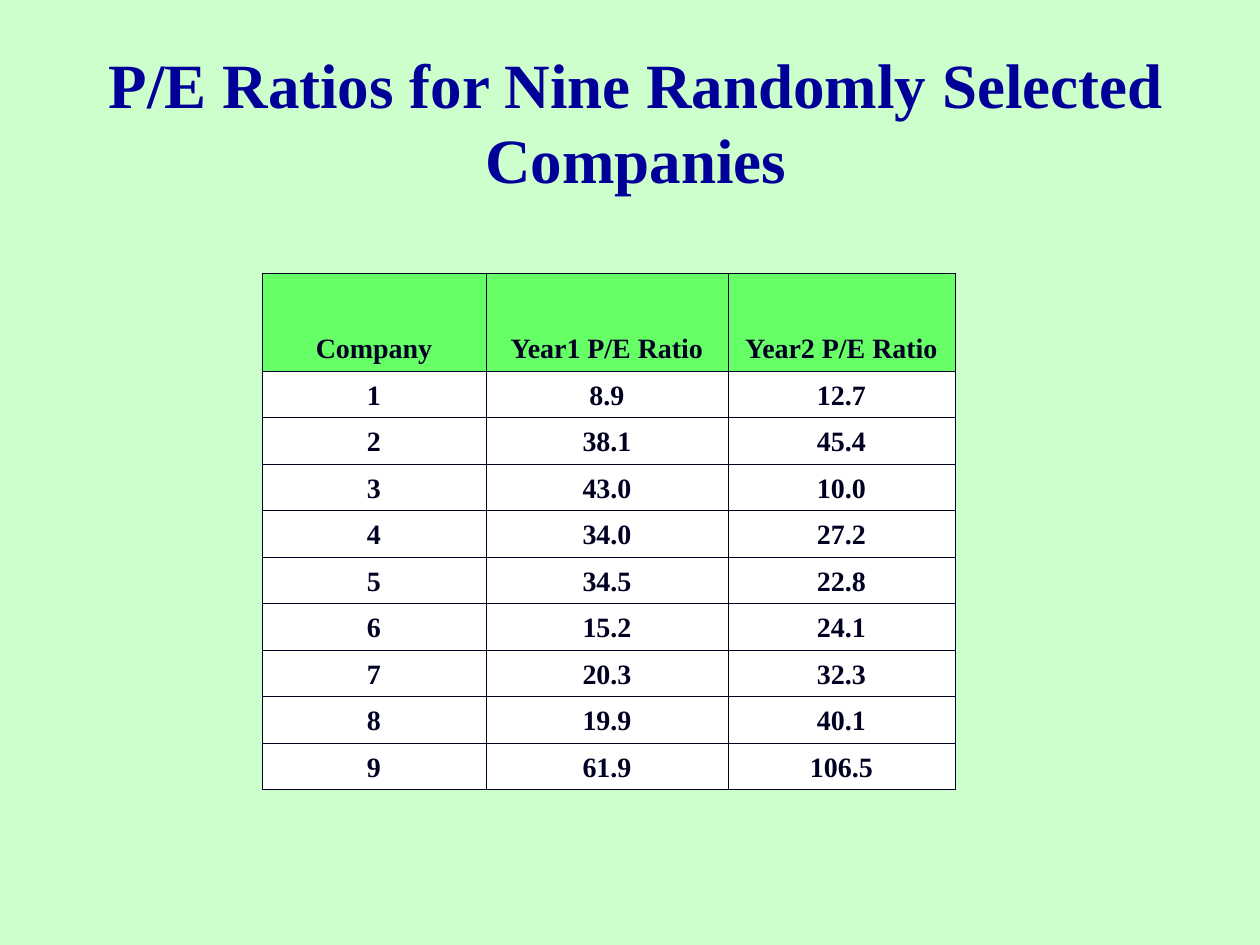
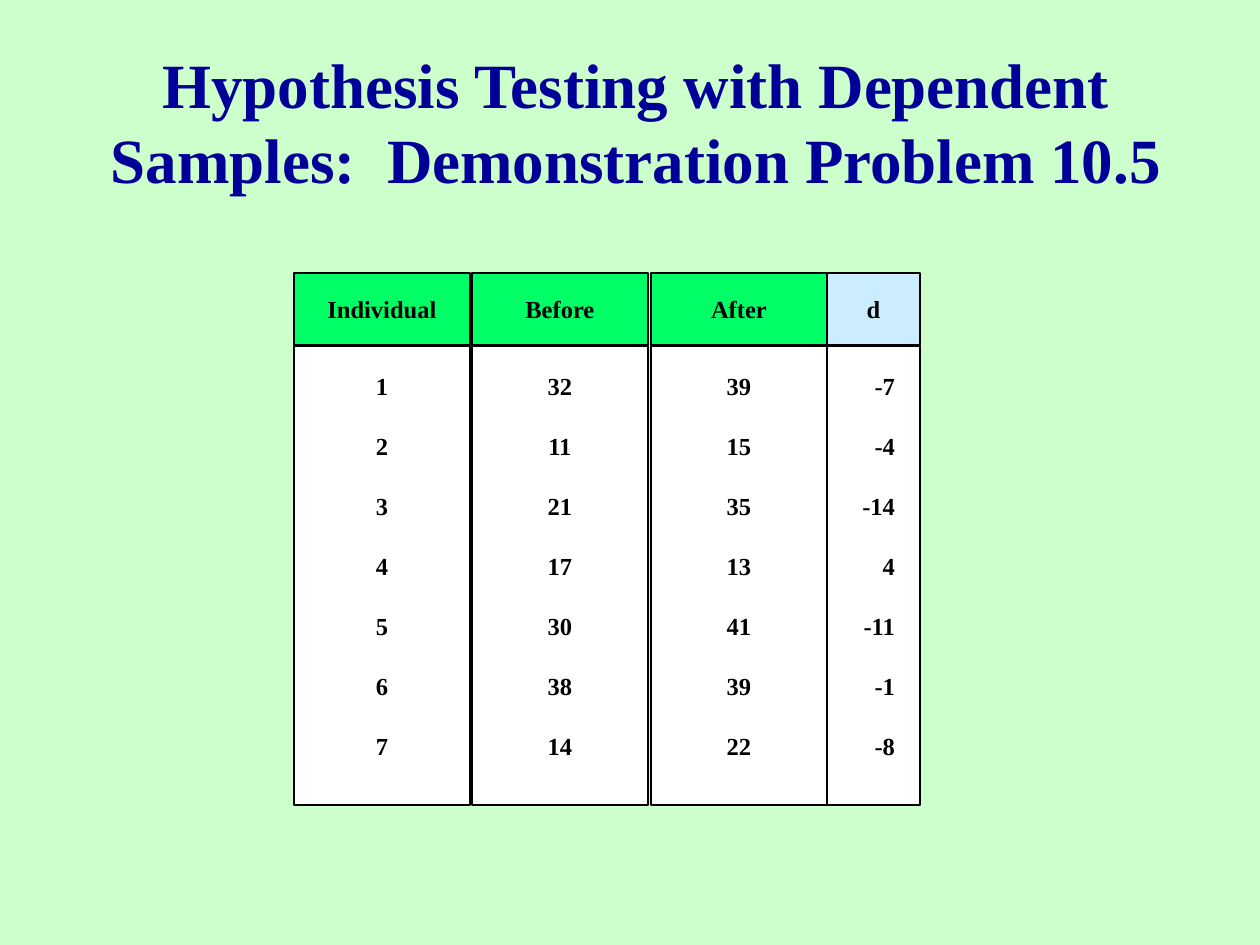
from lxml import etree
from pptx import Presentation
from pptx.dml.color import RGBColor
from pptx.enum.shapes import MSO_SHAPE
from pptx.enum.text import MSO_ANCHOR as Anchor, MSO_AUTO_SIZE as AutoSize, PP_ALIGN as Align
from pptx.oxml.ns import qn
from pptx.util import Pt

PX = 914400 // 126
FONT = "Times New Roman"
BACKGROUND, TITLE_BLUE, WHITE = "CCFFCC", "000099", "FFFFFF"
INK, BLACK = "000022", "000000"
TABLE_GREEN, HEADER_GREEN, HEADER_BLUE = "66FF66", "00FF66", "CCECFF"


def rgb(hex_color):
    return RGBColor.from_string(hex_color)


def write(text_frame, lines, size, color, align=Align.CENTER, space_before=0):
    """Fill a frame with one bold paragraph per line."""
    for number, line in enumerate(lines):
        paragraph = text_frame.add_paragraph() if number else text_frame.paragraphs[0]
        paragraph.alignment = align
        if number:
            paragraph.space_before = Pt(space_before)
        run = paragraph.add_run()
        run.text = line
        run.font.name = FONT
        run.font.size = Pt(size)
        run.font.bold = True
        run.font.color.rgb = rgb(color)


presentation = Presentation()
presentation.slide_width = 1260 * PX
presentation.slide_height = 945 * PX
background = presentation.slide_master.background.fill
background.solid()
background.fore_color.rgb = rgb(BACKGROUND)

slides = []
for heading in (
    "P/E Ratios for Nine Randomly Selected Companies",
    "Hypothesis Testing with Dependent Samples:  Demonstration Problem 10.5",
):
    slide = presentation.slides.add_slide(presentation.slide_layouts[5])
    title = slide.shapes.title
    title.left, title.top, title.width, title.height = 53 * PX, 42 * PX, 1166 * PX, 158 * PX
    title.text_frame.word_wrap = True
    title.text_frame.auto_size = AutoSize.NONE
    title.text_frame.vertical_anchor = Anchor.MIDDLE
    write(title.text_frame, [heading], 36, TITLE_BLUE)
    slides.append(slide)
ratio_slide, sample_slide = slides

# P/E ratio table
ratios = [
    ("Company", "Year1 P/E Ratio", "Year2 P/E Ratio"),
    ("1", "8.9", "12.7"),
    ("2", "38.1", "45.4"),
    ("3", "43.0", "10.0"),
    ("4", "34.0", "27.2"),
    ("5", "34.5", "22.8"),
    ("6", "15.2", "24.1"),
    ("7", "20.3", "32.3"),
    ("8", "19.9", "40.1"),
    ("9", "61.9", "106.5"),
]
column_widths = (224, 242, 227)
header_height, body_height = 98, 419
table = ratio_slide.shapes.add_table(
    len(ratios), len(column_widths), 262 * PX, 273 * PX,
    sum(column_widths) * PX, (header_height + body_height) * PX,
).table
table.first_row = table.horz_banding = False
for column, width in zip(table.columns, column_widths):
    column.width = width * PX
for row_number, values in enumerate(ratios):
    row = table.rows[row_number]
    row.height = body_height * PX // (len(ratios) - 1) if row_number else header_height * PX
    for cell, value in zip(row.cells, values):
        cell.vertical_anchor = Anchor.BOTTOM
        write(cell.text_frame, [value], 16, INK)
        properties = cell._tc.get_or_add_tcPr()
        for side in ("a:lnL", "a:lnR", "a:lnT", "a:lnB"):
            border = etree.SubElement(properties, qn(side), w=str(Pt(0.45)))
            border_fill = etree.SubElement(border, qn("a:solidFill"))
            etree.SubElement(border_fill, qn("a:srgbClr"), val=INK)
        cell.fill.solid()
        cell.fill.fore_color.rgb = rgb(WHITE if row_number else TABLE_GREEN)

# Before and after samples: a header box over a body box per column
before = (32, 11, 21, 17, 30, 38, 14)
after = (39, 15, 35, 13, 41, 39, 22)
differences = [first - second for first, second in zip(before, after)]
sample_columns = [
    ("Individual", range(1, 8), 294, 176, HEADER_GREEN, Align.CENTER),
    ("Before", before, 472, 176, HEADER_GREEN, Align.CENTER),
    ("After", after, 651, 176, HEADER_GREEN, Align.CENTER),
    ("d", differences, 827, 93, HEADER_BLUE, Align.RIGHT),
]
sample_group = sample_slide.shapes.add_group_shape()
for name, values, left, width, header_color, body_align in sample_columns:
    boxes = [
        ([name], 273, 72, header_color, Align.CENTER, Anchor.MIDDLE),
        ([str(value) for value in values], 346, 459, WHITE, body_align, Anchor.TOP),
    ]
    for lines, top, height, color, align, anchor in boxes:
        box = sample_group.shapes.add_shape(
            MSO_SHAPE.RECTANGLE, left * PX, top * PX, width * PX, height * PX)
        box.shadow.inherit = False
        box.fill.solid()
        box.fill.fore_color.rgb = rgb(color)
        box.line.color.rgb = rgb(BLACK)
        box.line.width = Pt(1)
        frame = box.text_frame
        frame.word_wrap = True
        frame.vertical_anchor = anchor
        if anchor == Anchor.TOP:
            frame.margin_left = frame.margin_right = 25 * PX
            frame.margin_top = frame.margin_bottom = 25 * PX
        write(frame, lines, 14, BLACK, align, space_before=17.5)

presentation.save("out.pptx")
